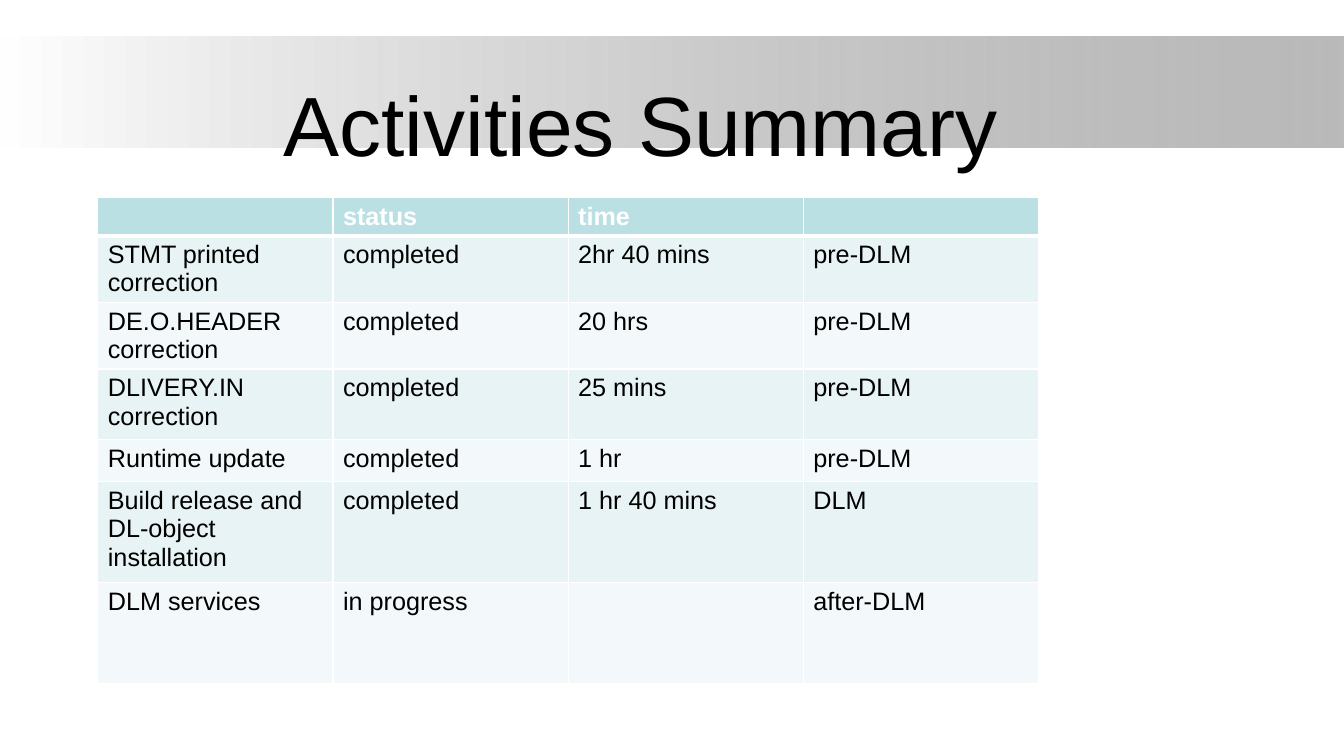
from lxml import etree
from pptx import Presentation
from pptx.dml.color import RGBColor
from pptx.enum.shapes import MSO_SHAPE
from pptx.enum.text import MSO_ANCHOR, PP_ALIGN
from pptx.oxml.ns import qn
from pptx.util import Inches, Pt

RECTANGLE = MSO_SHAPE.RECTANGLE
BOTTOM = MSO_ANCHOR.BOTTOM
CENTER = PP_ALIGN.CENTER

FONT = "Arial"
COLORS = {
    "white": "FFFFFF",
    "black": "000000",
    "gray": "808080",
    "header": "BBE0E3",
    "odd": "E7F3F4",
    "even": "F3F9FA",
}
ACTIVITIES = [
    ("", "status", "time", ""),
    ("STMT printed correction", "completed", "2hr 40 mins", "pre-DLM"),
    ("DE.O.HEADER correction", "completed", "20 hrs", "pre-DLM"),
    ("DLIVERY.IN correction", "completed", "25 mins", "pre-DLM"),
    ("Runtime update", "completed", "1 hr", "pre-DLM"),
    ("Build release and DL-object installation", "completed", "1 hr 40 mins", "DLM"),
    ("DLM services", "in progress", "", "after-DLM"),
]
ROW_HEIGHTS = [0.38, 0.42, 0.42, 0.7, 0.42, 1, 1]


def color(name):
    """Return the named palette colour."""
    return RGBColor.from_string(COLORS[name])


def style_font(para, size, color_name, bold=False):
    """Set the font of a whole paragraph."""
    para.font.name = FONT
    para.font.size = Pt(size)
    para.font.bold = bold
    para.font.color.rgb = color(color_name)


def add_band(page, box):
    """Draw the band that fades from white to translucent gray."""
    band = page.shapes.add_shape(RECTANGLE, *map(Inches, box))
    band.shadow.inherit = False
    band.line.fill.background()
    band.fill.gradient()
    band.fill.gradient_angle = 0
    start, end = band.fill.gradient_stops
    start.position, end.position = 0, 1
    start.color.rgb, end.color.rgb = color("white"), color("gray")
    gray = band.fill._xPr.findall(".//" + qn("a:srgbClr"))[-1]
    etree.SubElement(gray, qn("a:alpha"), val="54000")


def add_title(page, box, text):
    """Write the centred title at the bottom of its box."""
    frame = page.shapes.add_textbox(*map(Inches, box)).text_frame
    frame.word_wrap = True
    frame.vertical_anchor = BOTTOM
    para = frame.paragraphs[0]
    para.text = text
    para.alignment = CENTER
    style_font(para, 60, "black")


def set_borders(cell, bottom_width):
    """Give a cell white borders, with its own width at the bottom."""
    properties = cell._tc.get_or_add_tcPr()
    widths = {"a:lnL": 1, "a:lnR": 1, "a:lnT": 1, "a:lnB": bottom_width}
    for index, (tag, width) in enumerate(widths.items()):
        line = etree.Element(qn(tag), w=str(Pt(width)))
        fill = etree.SubElement(line, qn("a:solidFill"))
        etree.SubElement(fill, qn("a:srgbClr"), val=COLORS["white"])
        properties.insert(index, line)


def add_activities(page, box, rows):
    """Build the banded activity table with equal columns."""
    table = page.shapes.add_table(len(rows), len(rows[0]), *map(Inches, box)).table
    for column in table.columns:
        column.width = Inches(box[2] / len(rows[0]))
    for row_index, texts in enumerate(rows):
        table.rows[row_index].height = Inches(ROW_HEIGHTS[row_index])
        is_header = row_index == 0
        band = "header" if is_header else "odd" if row_index % 2 else "even"
        for column_index, text in enumerate(texts):
            cell = table.cell(row_index, column_index)
            cell.text = text
            cell.margin_bottom = Inches(0.01)
            cell.fill.solid()
            cell.fill.fore_color.rgb = color(band)
            style_font(cell.text_frame.paragraphs[0], 18,
                       "white" if is_header else "black", is_header)
            set_borders(cell, 3 if is_header else 1)


def main():
    """Build the deck and save it."""
    deck = Presentation()
    deck.slide_width, deck.slide_height = Inches(13.33), Inches(7.5)
    page = deck.slides.add_slide(deck.slide_layouts[6])
    add_band(page, (0, 0.36, 13.33, 1.1))
    add_title(page, (0.72, 0.55, 11.5, 1.22), "Activities Summary ")
    add_activities(page, (0.97, 1.96, 9.33, sum(ROW_HEIGHTS)), ACTIVITIES)
    deck.save("out.pptx")


if __name__ == "__main__":
    main()
